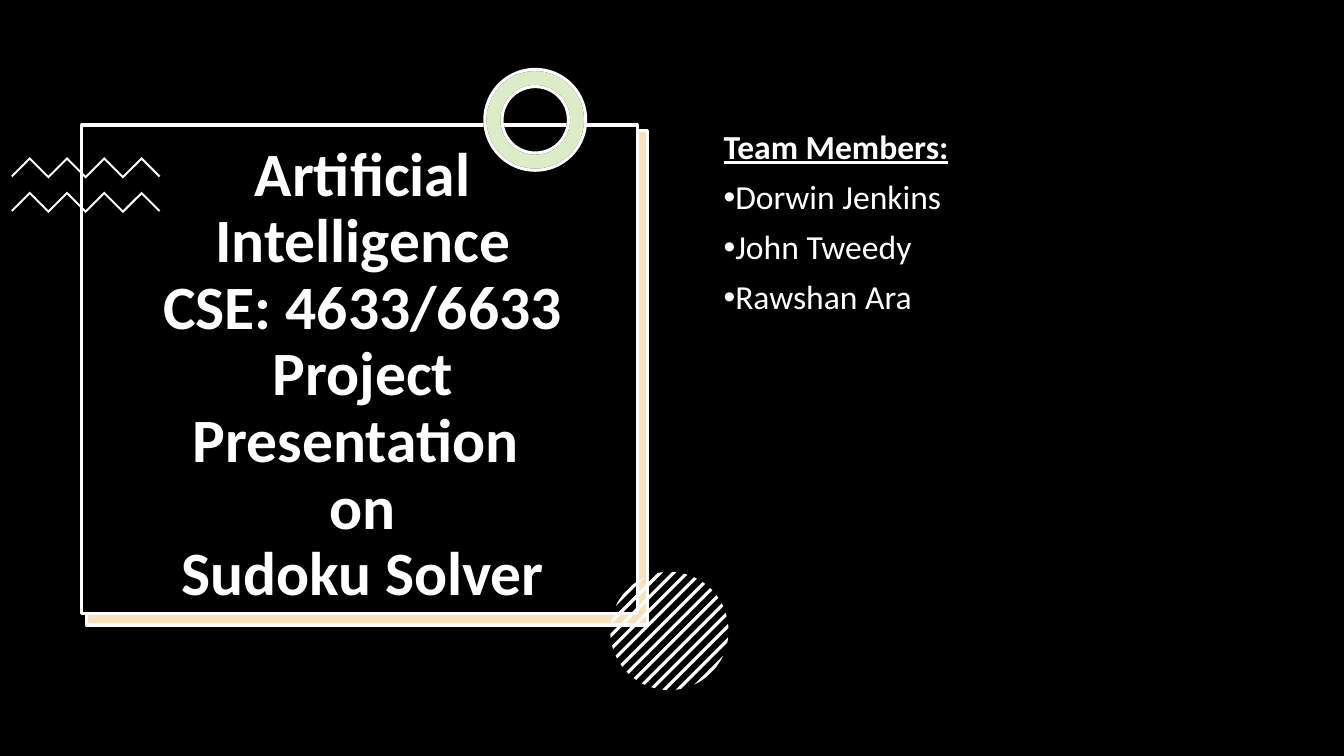
import math

import lxml.etree
import pptx
import pptx.dml.color
import pptx.enum.shapes
import pptx.enum.text
import pptx.oxml.ns
import pptx.util

Cm = pptx.util.Cm
Pt = pptx.util.Pt
SHAPE = pptx.enum.shapes.MSO_SHAPE
ALIGN = pptx.enum.text.PP_ALIGN
ANCHOR = pptx.enum.text.MSO_ANCHOR

WHITE, BLACK, ORANGE, GREEN = "FFFFFF", "000000", "F19D19", "8BC145"
TITLE = "Artificial Intelligence\vCSE: 4633/6633\vProject Presentation \von\vSudoku Solver"
MEMBERS = ["Dorwin Jenkins", "John Tweedy", "Rawshan Ara"]


def color(hex_string):
    """Return the colour for a hex string."""
    return pptx.dml.color.RGBColor.from_string(hex_string)


def paint(shape, fill, line=None, opacity=100):
    """Give a shape its fill, outline and opacity, without a shadow."""
    shape.shadow.inherit = False
    shape.fill.solid()
    shape.fill.fore_color.rgb = color(fill)
    if opacity < 100:
        fill_color = shape.element.spPr.find(".//" + pptx.oxml.ns.qn("a:srgbClr"))
        alpha = lxml.etree.SubElement(fill_color, pptx.oxml.ns.qn("a:alpha"))
        alpha.set("val", str(opacity * 1000))
    if line:
        shape.line.color.rgb = color(line)
        shape.line.width = Pt(2.25)
    else:
        shape.line.fill.background()


def place(shape, left, top, width, height):
    """Move a shape to a box given in centimetres."""
    shape.left, shape.top = Cm(left), Cm(top)
    shape.width, shape.height = Cm(width), Cm(height)


def add_polygon(slide, points):
    """Add a white closed outline through points given in centimetres."""
    corners = [(Cm(x), Cm(y)) for x, y in points]
    builder = slide.shapes.build_freeform(*corners[0])
    builder.add_line_segments(corners[1:], close=True)
    paint(builder.convert_to_shape(), WHITE)


def add_frame(slide, left, top, width, height):
    """Draw the black title frame over its offset orange panel."""
    layers = [
        (0.1, 0.15, 0.15, WHITE, None, 100),
        (0.12, 0.13, 0.15, ORANGE, WHITE, 30),
        (0, 0, 0, BLACK, WHITE, 100),
    ]
    for shift_x, shift_y, growth, fill, line, opacity in layers:
        panel = slide.shapes.add_shape(
            SHAPE.RECTANGLE, Cm(left + shift_x), Cm(top + shift_y),
            Cm(width + growth), Cm(height + growth))
        paint(panel, fill, line, opacity)


def add_zigzag(slide, left, top, step, thickness, count=8):
    """Draw a zigzag band whose peaks are one step high."""
    upper = [(left + i * step, top + (i + 1) % 2 * step) for i in range(count + 1)]
    lower = [(x, y + thickness) for x, y in upper[1:-1]]
    inset = thickness / 2
    first = (upper[0][0] + inset, upper[0][1] + inset)
    last = (upper[-1][0] - inset, upper[-1][1] + inset)
    add_polygon(slide, upper + [last] + lower[::-1] + [first])


def add_ring(slide, left, top, size):
    """Draw the pale green ring."""
    for fill, line, opacity in [(WHITE, BLACK, 100), (GREEN, WHITE, 30)]:
        ring = slide.shapes.add_shape(
            SHAPE.DONUT, Cm(left), Cm(top), Cm(size), Cm(size))
        ring.adjustments[0] = 0.17
        paint(ring, fill, line, opacity)


def add_striped_circle(slide, left, top, size, spacing, thickness):
    """Draw diagonal stripes cut off by a circle."""
    radius = size / 2

    def rim_point(distance, side):
        """Return where a stripe edge meets the circle."""
        angle = math.pi / 4 + side * math.acos(distance / radius)
        return (left + radius + radius * math.cos(angle),
                top + radius + radius * math.sin(angle))

    for stripe in range(-6, 7):
        edges = [stripe * spacing + thickness * part for part in (-0.5, 0, 0.5)]
        right = [rim_point(edge, -1) for edge in edges]
        left_end = [rim_point(edge, 1) for edge in reversed(edges)]
        add_polygon(slide, right + left_end)


def format_paragraph(paragraph, size, bold, alignment):
    """Set the font, alignment and line spacing of a paragraph."""
    paragraph.alignment = alignment
    paragraph.line_spacing = 0.9
    paragraph.font.name = "Calibri"
    paragraph.font.size = Pt(size)
    paragraph.font.bold = bold
    paragraph.font.color.rgb = color(WHITE)


def add_bullet(paragraph):
    """Give a paragraph a hanging round bullet."""
    properties = paragraph.font._element.getparent()
    properties.set("marL", "0")
    properties.set("indent", str(-Cm(0.64)))
    bullet_font = lxml.etree.Element(pptx.oxml.ns.qn("a:buFont"), typeface="Arial")
    bullet = lxml.etree.Element(pptx.oxml.ns.qn("a:buChar"), char="•")
    for element in (bullet_font, bullet):
        paragraph.font._element.addprevious(element)


def fill_title(title, left, top, width, height):
    """Write the centred title in its box."""
    place(title, left, top, width, height)
    title.text_frame.text = TITLE
    title.text_frame.vertical_anchor = ANCHOR.MIDDLE
    format_paragraph(title.text_frame.paragraphs[0], 44, True, ALIGN.CENTER)


def fill_team(body, left, top, width, height):
    """Write the heading and the bulleted team members in their box."""
    place(body, left, top, width, height)
    body.text_frame.text = "\n".join(["Team Members:"] + MEMBERS)
    body.text_frame.vertical_anchor = ANCHOR.TOP
    heading, *members = body.text_frame.paragraphs
    for paragraph in [heading] + members:
        format_paragraph(paragraph, 24, paragraph is heading, ALIGN.LEFT)
        paragraph.space_before = Pt(10)
    heading.font.underline = True
    for paragraph in members:
        add_bullet(paragraph)


def build_title_slide(presentation):
    """Build the title slide with its decorations behind the text."""
    slide = presentation.slides.add_slide(presentation.slide_layouts[0])
    slide.background.fill.solid()
    slide.background.fill.fore_color.rgb = color(BLACK)
    title, body = slide.placeholders
    add_frame(slide, 2.06, 3.15, 14, 12.32)
    for top in (3.96, 4.83):
        add_zigzag(slide, 0.28, top, 0.47, 0.07)
    add_ring(slide, 12.22, 1.75, 2.54)
    add_striped_circle(slide, 15.38, 14.41, 2.98, 0.24, 0.08)
    fill_title(title, 2.34, 3.86, 13.61, 11.23)
    fill_team(body, 17.98, 3.15, 13.82, 12.09)
    for placeholder in (title, body):
        placeholder.element.getparent().append(placeholder.element)


def main():
    """Create and save the presentation."""
    presentation = pptx.Presentation()
    presentation.slide_width = Cm(33.87)
    presentation.slide_height = Cm(19.05)
    build_title_slide(presentation)
    presentation.save("out.pptx")


if __name__ == "__main__":
    main()
